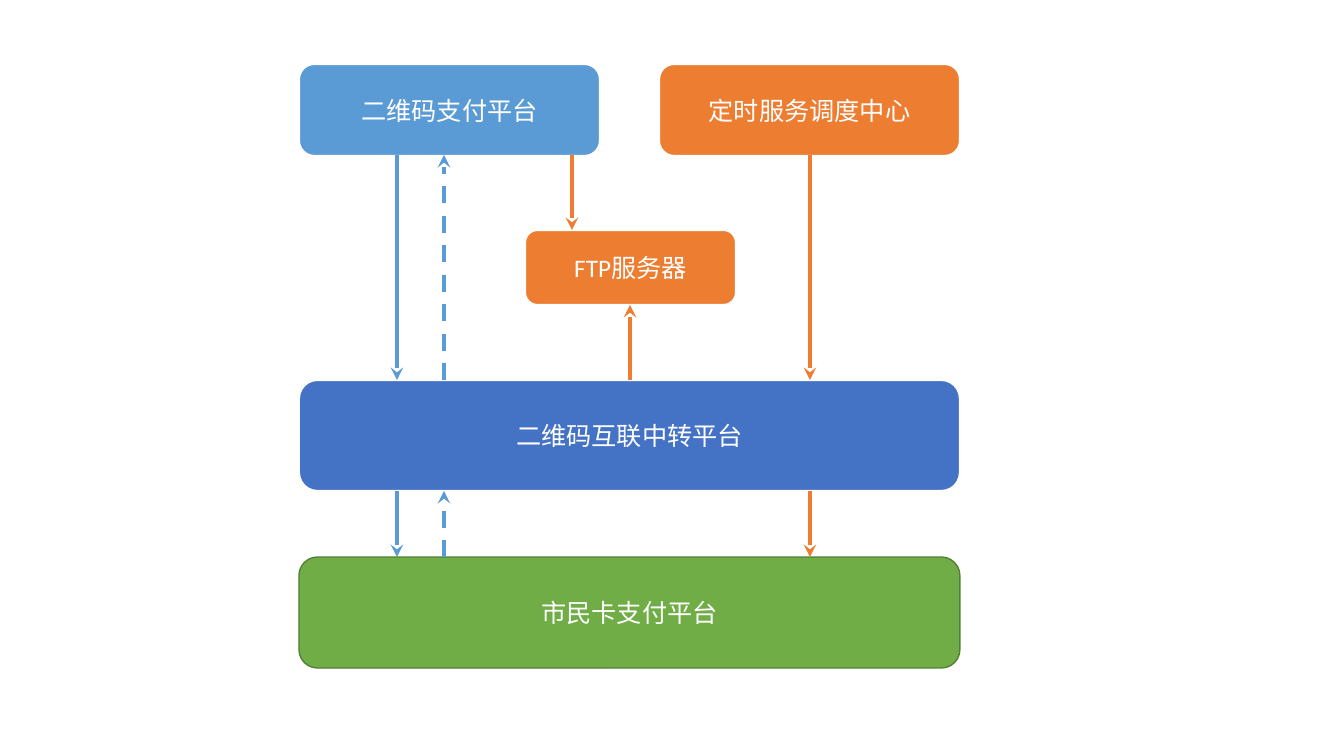
import pptx
import pptx.util
import pptx.dml.color
import pptx.enum.dml
import pptx.enum.shapes
import pptx.enum.text
import pptx.oxml
import pptx.oxml.ns
from dataclasses import dataclass

SCALE = 914400 / 100.8


@dataclass(frozen=True)
class Theme:
    """Colours, font and sizes of the slide."""
    sky: str = "5B9BD5"
    orange: str = "ED7D31"
    blue: str = "4472C4"
    green: str = "70AD47"
    moss: str = "538035"
    white: str = "FFFFFF"
    font: str = "Calibri"
    size: int = 18
    edge: float = 1.5
    thin: float = 1
    arrow: float = 3


def emu(pixel):
    """Turn pixels into EMU."""
    return pptx.util.Emu(round(pixel * SCALE))


def color(code):
    """Make a colour from its hex code."""
    return pptx.dml.color.RGBColor.from_string(code)


class Chart:
    """Draws the flow chart on one slide in one style."""

    def __init__(self, slide, theme):
        """Keep the slide and the theme."""
        self.slide = slide
        self.theme = theme

    def stroke(self, line, code, width):
        """Set the colour and width of a line."""
        line.color.rgb = color(code)
        line.width = pptx.util.Pt(width)

    def box(self, text, left, top, width, height, fill, edge=None):
        """Add a rounded box with a centred label."""
        theme = self.theme
        shape = self.slide.shapes.add_shape(
            pptx.enum.shapes.MSO_SHAPE.ROUNDED_RECTANGLE,
            emu(left), emu(top), emu(width), emu(height))
        shape.shadow.inherit = False
        shape.fill.solid()
        shape.fill.fore_color.rgb = color(fill)
        self.stroke(shape.line, edge or theme.white,
                    theme.thin if edge else theme.edge)
        frame = shape.text_frame
        frame.word_wrap = True
        frame.vertical_anchor = pptx.enum.text.MSO_ANCHOR.MIDDLE
        para = frame.paragraphs[0]
        para.alignment = pptx.enum.text.PP_ALIGN.CENTER
        run = para.add_run()
        run.text = text
        run.font.name = theme.font
        run.font.size = pptx.util.Pt(theme.size)
        run.font.color.rgb = color(theme.white)

    def arrow(self, across, start, end, code, dash=False):
        """Add an upright arrow, solid or dashed."""
        link = self.slide.shapes.add_connector(
            pptx.enum.shapes.MSO_CONNECTOR.STRAIGHT,
            emu(across), emu(start), emu(across), emu(end))
        self.stroke(link.line, code, self.theme.arrow)
        if dash:
            link.line.dash_style = pptx.enum.dml.MSO_LINE.DASH
        space = pptx.oxml.ns.nsdecls("a")
        head = pptx.oxml.parse_xml(f'<a:tailEnd {space} type="stealth"/>')
        link.line._get_or_add_ln().append(head)
        bare = pptx.oxml.parse_xml(f"<a:effectLst {space}/>")
        link._element.spPr.append(bare)


def main():
    """Build the slide and save it."""
    deck = pptx.Presentation()
    deck.slide_width, deck.slide_height = emu(1344), emu(756)
    theme = Theme()
    chart = Chart(deck.slides.add_slide(deck.slide_layouts[6]), theme)

    left, right = 299, 960
    full, half = right - left, 301
    top, low = 64, 92
    hub, card, tall = 380, 557, 111
    ftp, short = 230, 75
    base, foot = top + low - 1, hub + tall

    chart.box("二维码互联中转平台", left, hub, full, tall, theme.blue)
    chart.box("二维码支付平台", left, top, half, low, theme.sky)
    chart.box("定时服务调度中心", right - half, top, half, low, theme.orange)
    chart.box("FTP服务器", 525, ftp, 211, short, theme.orange)
    chart.box("市民卡支付平台", left, card, full, tall, theme.green, theme.moss)

    for start, end in ((base, hub), (foot, card)):
        chart.arrow(397, start, end, theme.sky)
        chart.arrow(444, end, start, theme.sky, dash=True)
        chart.arrow(810, start, end, theme.orange)
    chart.arrow(630, hub, ftp + short, theme.orange)
    chart.arrow(572, base, ftp, theme.orange)

    deck.save("out.pptx")


main()
